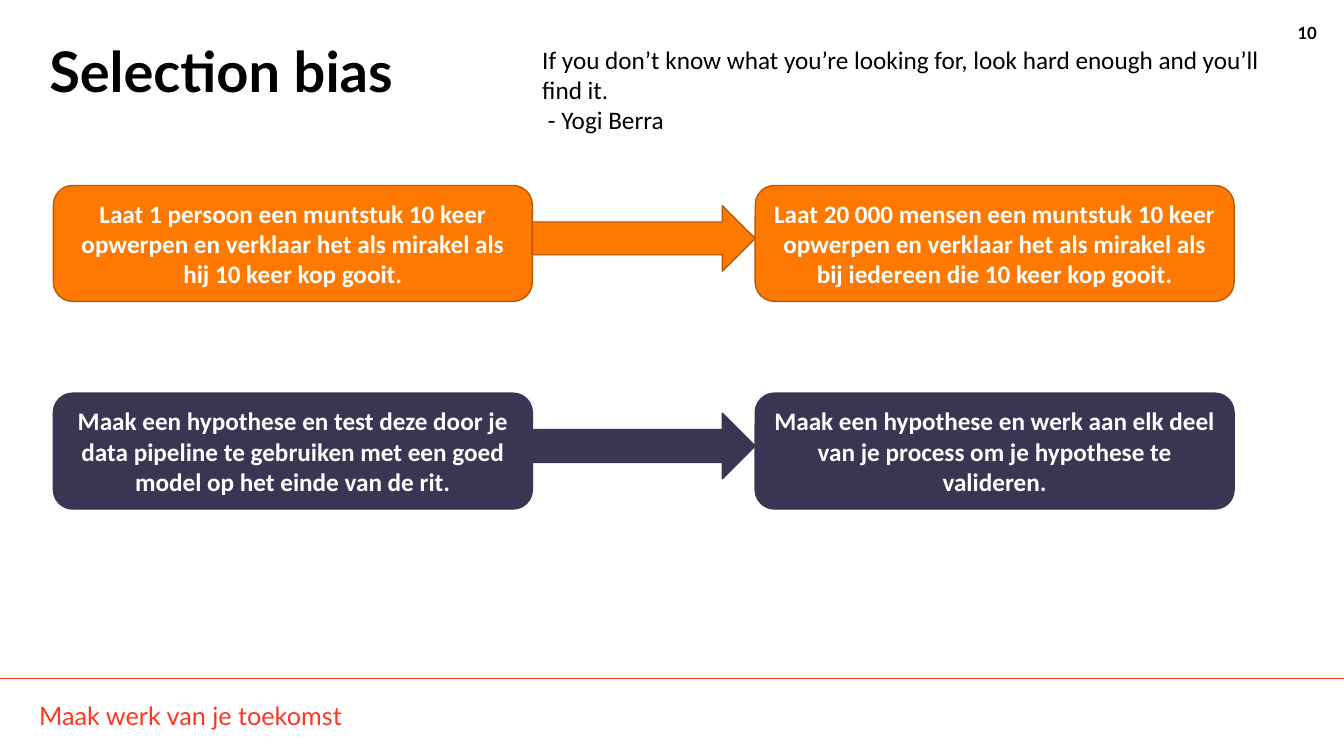
from pptx import Presentation
from pptx.dml.color import RGBColor
from pptx.enum.shapes import MSO_CONNECTOR, MSO_SHAPE
from pptx.enum.text import MSO_ANCHOR, PP_ALIGN
from pptx.oxml.ns import qn
from pptx.util import Inches, Pt
from lxml import etree

ROUNDED, ARROW = MSO_SHAPE.ROUNDED_RECTANGLE, MSO_SHAPE.RIGHT_ARROW
STRAIGHT = MSO_CONNECTOR.STRAIGHT
TOP, MIDDLE = MSO_ANCHOR.TOP, MSO_ANCHOR.MIDDLE
LEFT, CENTER, RIGHT = PP_ALIGN.LEFT, PP_ALIGN.CENTER, PP_ALIGN.RIGHT

WIDTH, HEIGHT = 13.33, 7.5
BLACK, WHITE, RED = "000000", "FFFFFF", "FF3521"
ORANGE, DARK_ORANGE, NAVY = "FF7800", "BD5900", "393654"

# Each comparison: fill, outline, starting point, what it leads to
COMPARISONS = [
    (ORANGE, DARK_ORANGE,
     "Laat 1 persoon een muntstuk 10 keer opwerpen en verklaar het als mirakel "
     "als hij 10 keer kop gooit.",
     "Laat 20 000 mensen een muntstuk 10 keer opwerpen en verklaar het als "
     "mirakel als bij iedereen die 10 keer kop gooit."),
    (NAVY, NAVY,
     "Maak een hypothese en test deze door je data pipeline te gebruiken met "
     "een goed model op het einde van de rit.",
     "Maak een hypothese en werk aan elk deel van je process om je hypothese "
     "te valideren."),
]


def color(hex_code):
    return RGBColor.from_string(hex_code)


def write(shape, lines, size, font, ink, bold=False, align=LEFT, anchor=TOP,
          spacing=None):
    frame = shape.text_frame
    frame.word_wrap = True
    frame.vertical_anchor = anchor
    for i, line in enumerate(lines):
        paragraph = frame.add_paragraph() if i else frame.paragraphs[0]
        paragraph.alignment = align
        if spacing:
            paragraph.line_spacing = spacing
        run = paragraph.add_run()
        run.text = line
        run.font.size = Pt(size)
        run.font.name = font
        run.font.bold = bold
        run.font.color.rgb = color(ink)


def add_text(slide, box, lines, size, font, ink, **style):
    text_box = slide.shapes.add_textbox(*map(Inches, box))
    write(text_box, lines, size, font, ink, **style)


def add_block(slide, kind, box, fill, outline):
    block = slide.shapes.add_shape(kind, *map(Inches, box))
    block.shadow.inherit = False
    block.fill.solid()
    block.fill.fore_color.rgb = color(fill)
    block.line.color.rgb = color(outline)
    block.line.width = Pt(1)
    return block


def add_header(slide, left, top, width):
    add_text(slide, (left, top, width, 1.45), ["Selection bias"], 40, "Lato",
             BLACK, bold=True, spacing=0.9)
    add_text(slide, (left + 4.89, top, 7.66, 1.01),
             ["If you don’t know what you’re looking for, look hard enough "
              "and you’ll find it.", " - Yogi Berra"], 18, "Calibri", BLACK)
    add_text(slide, (left + width, 0.18, 0.49, 0.3), ["10"], 12, "Lato", BLACK,
             bold=True, align=RIGHT)


def add_comparison(slide, left, top, width, height, comparison):
    fill, outline, before, after = comparison
    card_width = 4.75
    gap = width - 2 * card_width
    for x, text in ((left, before), (left + card_width + gap, after)):
        card = add_block(slide, ROUNDED, (x, top, card_width, height), fill, outline)
        write(card, [text], 18, "Calibri", WHITE, bold=True, align=CENTER,
              anchor=MIDDLE)
    add_block(slide, ARROW, (left + card_width, top + 0.2, gap, 0.65), fill, outline)


def add_footer(slide, top):
    rule = slide.shapes.add_connector(STRAIGHT, 0, Inches(top), Inches(WIDTH),
                                      Inches(top))
    rule.line.color.rgb = color(RED)
    rule.line.width = Pt(0.5)
    etree.SubElement(rule._element.spPr, qn("a:effectLst"))
    add_text(slide, (0.29, top + 0.17, 8.5, 0.4), ["Maak werk van je toekomst"],
             18, "Lato", RED)


def main():
    deck = Presentation()
    deck.slide_width, deck.slide_height = Inches(WIDTH), Inches(HEIGHT)
    slide = deck.slides.add_slide(deck.slide_layouts[6])

    add_footer(slide, 6.73)
    add_header(slide, 0.39, 0.39, 12.28)
    # Comparisons in evenly spaced rows
    for row, comparison in enumerate(COMPARISONS):
        add_comparison(slide, 0.53, 1.84 + row * 2.06, 11.71, 1.15, comparison)

    deck.save("out.pptx")


if __name__ == "__main__":
    main()
